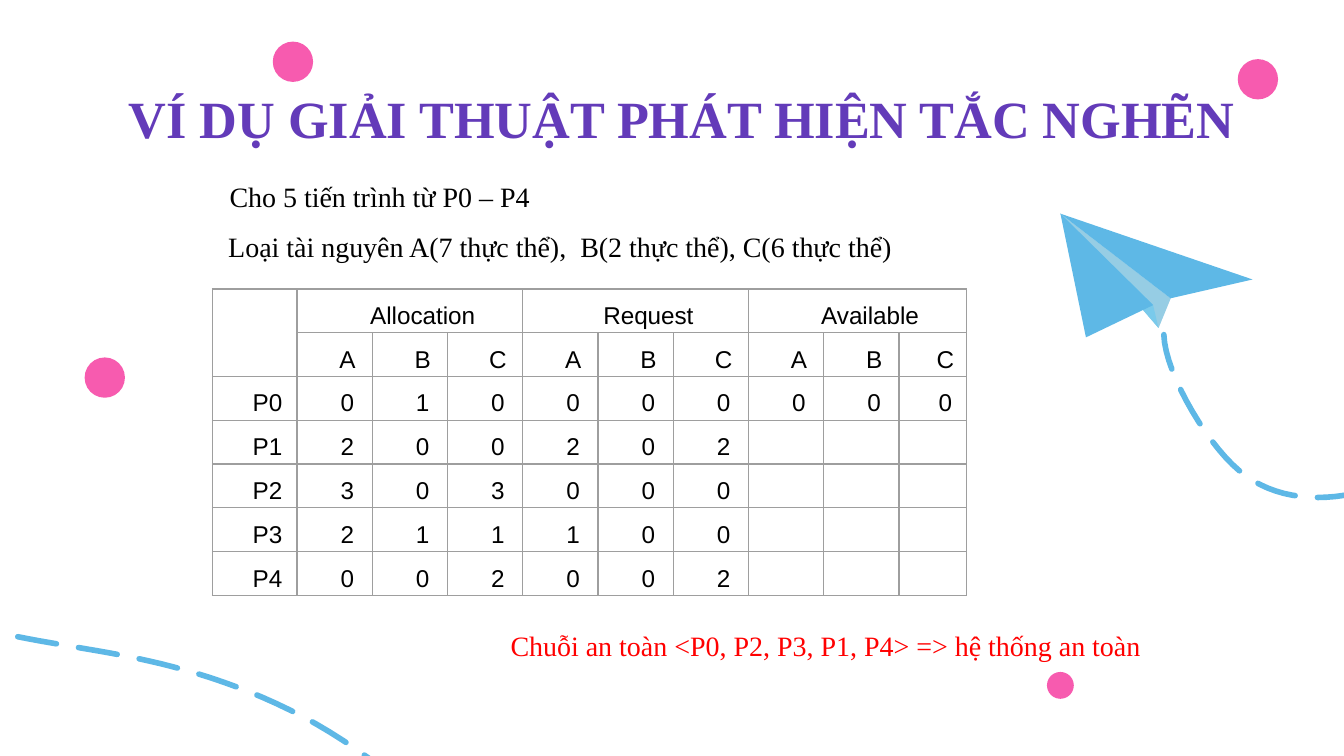
from lxml import etree
from pptx import Presentation
from pptx.dml.color import RGBColor
from pptx.enum.dml import MSO_LINE
from pptx.enum.shapes import MSO_SHAPE
from pptx.enum.text import PP_ALIGN
from pptx.oxml import parse_xml
from pptx.oxml.ns import nsdecls, qn
from pptx.util import Inches, Pt

SERIF = "Times New Roman"
SKY, PINK, GREY = "5EB8E6", "F75BAF", "9E9E9E"


def color(code):
    return RGBColor.from_string(code)


def write(par, text, size=15, font=SERIF, ink="000000", bold=False,
          align=PP_ALIGN.LEFT, margin=0, indent=0, spacing=None):
    props = par._p.get_or_add_pPr()
    props.set("marL", str(Inches(margin)))
    props.set("indent", str(Inches(indent)))
    par.alignment = align
    par.line_spacing = spacing
    run = par.add_run()
    run.text = text
    run.font.size = Pt(size)
    run.font.name = font
    run.font.bold = bold
    run.font.color.rgb = color(ink)


def add_box(slide, left, top, width, height, inset=0.05):
    box = slide.shapes.add_textbox(*map(Inches, (left, top, width, height)))
    frame = box.text_frame
    frame.word_wrap = True
    frame.margin_top = frame.margin_bottom = Inches(inset)
    return frame


def add_path(slide, points, closed):
    start, *rest = [(Inches(x), Inches(y)) for x, y in points]
    builder = slide.shapes.build_freeform(*start)
    builder.add_line_segments(rest, close=closed)
    shape = builder.convert_to_shape()
    shape.shadow.inherit = False
    return shape


def add_facet(slide, left, top, points, fill, alpha=None):
    shape = add_path(slide, [(left + x, top + y) for x, y in points], True)
    shape.fill.solid()
    shape.fill.fore_color.rgb = color(fill)
    shape.line.fill.background()
    if alpha:
        tint = shape._element.spPr.find(qn("a:solidFill"))[0]
        etree.SubElement(tint, qn("a:alpha")).set("val", str(alpha * 1000))


def add_plane(slide, left, top):
    nose, tail, fold = (0, 0), (0.73, 0.85), (0.82, 0.63)
    notch, wing, tip = (0.69, 0.68), (0.19, 0.92), (1.43, 0.49)
    add_facet(slide, left, top, [nose, tail, fold], "7ACAEB")
    add_facet(slide, left, top, [nose, tail, fold], "CED3D8", alpha=34)
    add_facet(slide, left, top, [nose, tail, notch], "7ACAEB")
    add_facet(slide, left, top, [nose, fold, tip], SKY)
    add_facet(slide, left, top, [nose, wing, notch], SKY)


def trace(knots, steps=16):
    """Points along a chain of cubic curves: start, then two controls and an end each."""
    points = [knots[0]]
    for i in range(0, len(knots) - 1, 3):
        a, b, c, d = knots[i:i + 4]
        for step in range(1, steps + 1):
            t = step / steps
            u = 1 - t
            points.append(tuple(
                u**3 * p + 3 * u * u * t * q + 3 * u * t * t * r + t**3 * s
                for p, q, r, s in zip(a, b, c, d)))
    return points


def add_trail(slide, knots):
    shape = add_path(slide, trace(knots), False)
    shape.fill.background()
    shape.line.color.rgb = color(SKY)
    shape.line.width = Pt(3)
    shape.line.dash_style = MSO_LINE.LONG_DASH
    shape.line._get_or_add_ln().set("cap", "rnd")


def add_dot(slide, x, y, size):
    dot = slide.shapes.add_shape(
        MSO_SHAPE.OVAL, Inches(x - size / 2), Inches(y - size / 2),
        Inches(size), Inches(size))
    dot.shadow.inherit = False
    dot.fill.solid()
    dot.fill.fore_color.rgb = color(PINK)
    dot.line.fill.background()


def add_scenery(slide):
    add_plane(slide, 7.89, 1.59)
    add_trail(slide, [
        (12.93, 2.82), (12.7, 2.57), (12.3, 2.51), (11.97, 2.59),
        (11.64, 2.68), (11.36, 2.88), (11.1, 3.08),
        (10.83, 3.29), (10.57, 3.5), (10.25, 3.62),
        (9.93, 3.74), (9.54, 3.74), (9.27, 3.54),
        (9.01, 3.36), (8.67, 2.79), (8.66, 2.49)])
    add_trail(slide, [
        (3.55, 6.48), (3.28, 6.01), (2.68, 5.54), (2.15, 5.28),
        (1.62, 5.02), (1.13, 4.91), (0.65, 4.83),
        (0.18, 4.75), (-0.29, 4.68), (-0.81, 4.46),
        (-1.34, 4.24), (-1.94, 3.83), (-2.31, 3.36),
        (-2.65, 2.92), (-3, 2.04), (-2.92, 1.75)])
    for x, y, size in [(7.89, 5.1, 0.2), (9.36, 0.59, 0.3),
                       (0.78, 2.81, 0.3), (2.18, 0.46, 0.3)]:
        add_dot(slide, x, y, size)


def style_cell(cell):
    cell.margin_left = cell.margin_right = Inches(0.07)
    cell.margin_top = cell.margin_bottom = 0
    cell.fill.background()
    props = cell._tc.get_or_add_tcPr()
    for i, side in enumerate("LRTB"):
        props.insert(i, parse_xml(
            f'<a:ln{side} {nsdecls("a")} w="{Pt(0.75)}"><a:solidFill>'
            f'<a:srgbClr val="{GREY}"/></a:solidFill></a:ln{side}>'))


def add_matrix(slide, left, top, height):
    """Rows start at no height, so each grows to fit its text."""
    rows = [
        ["", "Allocation", "", "", "Request", "", "", "Available", "", ""],
        ["", *"ABC" * 3],
        ["P0", *"010000000"],
        ["P1", *"200202"],
        ["P2", *"303000"],
        ["P3", *"211100"],
        ["P4", *"002002"],
    ]
    widths = [0.63] + [0.56] * 8 + [0.5]
    holder = slide.shapes.add_table(
        len(rows), len(widths), Inches(left), Inches(top),
        Inches(sum(widths)), Inches(height))
    table = holder.table
    table.first_row = table.horz_banding = False
    for column, width in zip(table.columns, widths):
        column.width = Inches(width)
    for row in table.rows:
        row.height = 0
        for cell in row.cells:
            style_cell(cell)
    holder.height = Inches(height)
    table.cell(0, 0).merge(table.cell(1, 0))
    for start in (1, 4, 7):
        table.cell(0, start).merge(table.cell(0, start + 2))
    for i, row in enumerate(rows):
        for j, text in enumerate(row):
            if text:
                write(table.cell(i, j).text_frame.paragraphs[0], text, size=13,
                      font="Arial", align=PP_ALIGN.CENTER, margin=0.19, spacing=1.5)


def add_title(slide, left, top):
    frame = add_box(slide, left, top, 9.3, 0.63, inset=0.1)
    write(frame.paragraphs[0], "VÍ DỤ GIẢI THUẬT PHÁT HIỆN TẮC NGHẼN",
          size=28, ink="633BB9", bold=True)


def add_premise(slide, left, top):
    frame = add_box(slide, left, top, 5.64, 0.81)
    write(frame.paragraphs[0], "Cho 5 tiến trình từ P0 – P4",
          align=PP_ALIGN.JUSTIFY, indent=0.3, spacing=1.5)
    write(frame.add_paragraph(),
          "Loại tài nguyên A(7 thực thể),  B(2 thực thể), C(6 thực thể)",
          align=PP_ALIGN.JUSTIFY, margin=0.29, spacing=1.5)


def add_result(slide, left, top):
    frame = add_box(slide, left, top, 5.29, 0.43)
    write(frame.paragraphs[0],
          "Chuỗi an toàn <P0, P2, P3, P1, P4> => hệ thống an toàn",
          ink="FF0000", align=PP_ALIGN.JUSTIFY, margin=0.3, spacing=1.5)


def main():
    deck = Presentation()
    deck.slide_width = Inches(10)
    deck.slide_height = deck.slide_width * 9 // 16
    slide = deck.slides.add_slide(deck.slide_layouts[6])
    add_scenery(slide)
    add_title(slide, 0.86, 0.54)
    add_matrix(slide, 1.58, 2.15, 2.27)
    add_premise(slide, 1.31, 1.16)
    add_result(slide, 3.4, 4.5)
    deck.save("out.pptx")


if __name__ == "__main__":
    main()
